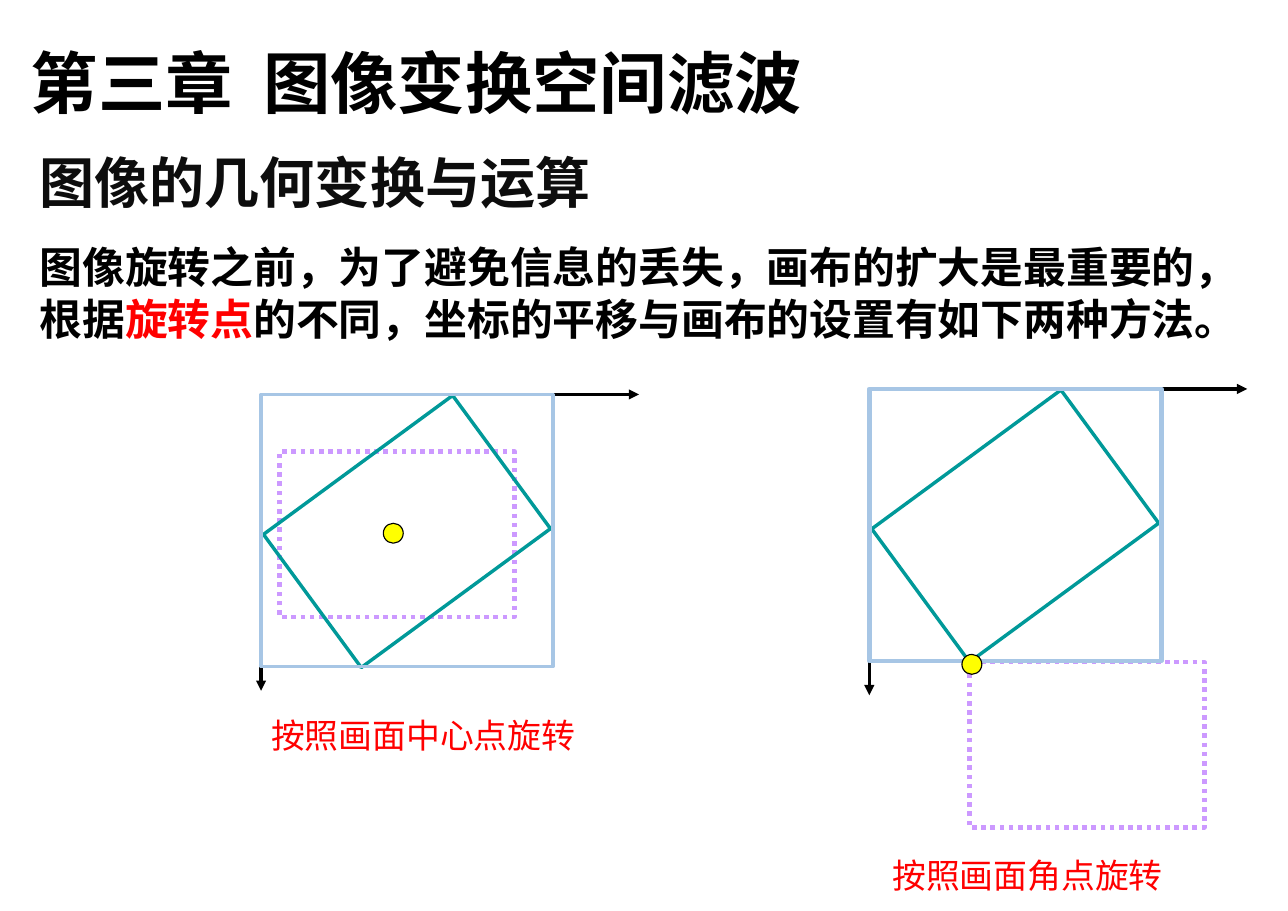
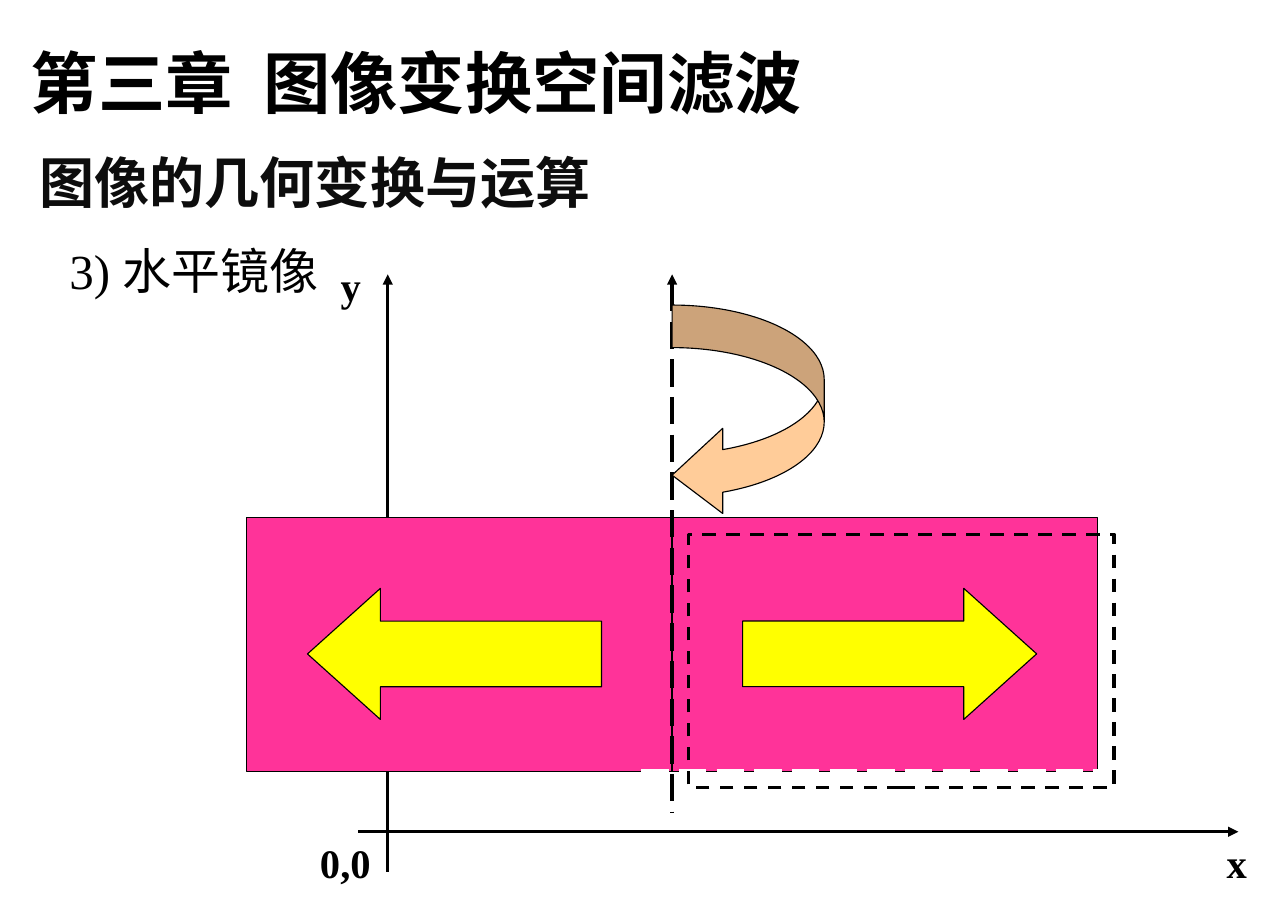
from lxml import etree
from pptx import Presentation
from pptx.dml.color import RGBColor
from pptx.enum.dml import MSO_LINE
from pptx.enum.shapes import MSO_CONNECTOR, MSO_SHAPE
from pptx.enum.text import MSO_ANCHOR, PP_ALIGN
from pptx.oxml.ns import qn
from pptx.util import Pt

RECT, OVAL = MSO_SHAPE.RECTANGLE, MSO_SHAPE.OVAL
ARROW, CURVE = MSO_SHAPE.RIGHT_ARROW, MSO_SHAPE.CURVED_LEFT_ARROW
STRAIGHT = MSO_CONNECTOR.STRAIGHT
DOT, DASH, LONG = MSO_LINE.ROUND_DOT, MSO_LINE.DASH, MSO_LINE.LONG_DASH
LEFT, CENTER = PP_ALIGN.LEFT, PP_ALIGN.CENTER
TOP, MIDDLE = MSO_ANCHOR.TOP, MSO_ANCHOR.MIDDLE

BLACK, WHITE, INK = "000000", "FFFFFF", "0D0D0D"
RED, YELLOW, PINK, PEACH = "FF0000", "FFFF00", "FF3399", "FFCC99"
TEAL, BLUE, LILAC = "009999", "A7C6E5", "CC99FF"
SERIF, SANS, THIN, HAN = "Times New Roman", "Arial", "Karla", "Noto Sans CJK SC"


def color(code):
    return RGBColor.from_string(code)


class Deck:
    def __init__(self, wide, high):
        self.prs = Presentation()
        self.prs.slide_width, self.prs.slide_height = Pt(wide), Pt(high)
        self.slide = None

    def page(self):
        """Start a slide with the shared chapter and section titles."""
        self.slide = self.prs.slides.add_slide(self.prs.slide_layouts[6])
        self.text((13, -2.9, 764, 86.4), "第三章  图像变换空间滤波", 44, SERIF,
                  bold=True, space=1.5)
        self.text((18.7, 93.6, 502, 51), "图像的几何变换与运算", 36, SANS,
                  INK, bold=True)

    def text(self, box, text, size, font, ink=BLACK, bold=False, align=LEFT,
             anchor=TOP, wrap=True, space=None, marks=None):
        """Add a text box; marks maps a phrase to its own colour."""
        frame = self.slide.shapes.add_textbox(*map(Pt, box)).text_frame
        frame.word_wrap, frame.vertical_anchor = wrap, anchor
        para = frame.paragraphs[0]
        para.alignment = align
        if space:
            para.line_spacing = space
        parts = [(text, ink)]
        for mark, tint in (marks or {}).items():
            head, tail = text.split(mark)
            parts = [(head, ink), (mark, tint), (tail, ink)]
        for part, tint in parts:
            run = para.add_run()
            run.text = part
            run.font.size, run.font.bold = Pt(size), bold
            run.font.color.rgb = color(tint)
            run.font.name = font
            east = etree.SubElement(run.font._element, qn("a:ea"))
            east.set("typeface", HAN)

    def stroke(self, line, ink, width, dash=None):
        line.color.rgb, line.width = color(ink), Pt(width)
        if dash:
            line.dash_style = dash

    def shape(self, kind, box, fill=None, ink=BLACK, width=0.75, dash=None,
              turn=0, adjust=()):
        item = self.slide.shapes.add_shape(kind, *map(Pt, box))
        item.shadow.inherit = False
        item.rotation = turn
        for i, value in enumerate(adjust):
            item.adjustments[i] = value
        if fill:
            item.fill.solid()
            item.fill.fore_color.rgb = color(fill)
        else:
            item.fill.background()
        self.stroke(item.line, ink, width, dash)

    def arrow(self, start, end, ink=BLACK, dash=None, tip="tailEnd"):
        """Add a line with an arrowhead at its end, or at its start (headEnd)."""
        item = self.slide.shapes.add_connector(
            STRAIGHT, *map(Pt, (*start, *end)))
        self.stroke(item.line, ink, 2.25, dash)
        props = item._element.spPr
        etree.SubElement(props.find(qn("a:ln")), qn("a:" + tip), type="triangle")
        etree.SubElement(props, qn("a:effectLst"))


def canvas(deck, left, top, drop, ghost, pivot, width):
    """Draw one rotation; ghost and pivot are offsets from the axis origin."""
    deck.arrow((left, top), (left + 247, top))
    deck.arrow((left, top), (left, top + drop))
    deck.shape(RECT, (left + ghost[0], top + ghost[1], 153.4, 108),
               ink=LILAC, width=3, dash=DOT)
    deck.shape(RECT, (left + 18.7, top + 35.6, 153.4, 108),
               ink=TEAL, width=2.25, turn=323.7)
    deck.shape(RECT, (left, top, 190.8, 177.8), ink=BLUE, width=width)
    deck.shape(OVAL, (left + pivot[0], top + pivot[1], 13, 13), YELLOW)


def rotate(deck):
    deck.page()
    deck.text((18.7, 154, 810, 112.3),
              "图像旋转之前，为了避免信息的丢失，画布的扩大是最重要的，"
              "根据旋转点的不同，坐标的平移与画布的设置有如下两种方法。",
              28, HAN, bold=True, marks={"旋转点": RED})
    # Rotation about the centre and about a corner
    canvas(deck, 170.6, 257.8, 193.7, (12.2, 37.4), (79.9, 84.2), 2.25)
    canvas(deck, 568.1, 254.2, 200.2, (65.5, 178.6), (60.5, 173.5), 3)
    deck.text((162, 463.7, 229, 33.8), "按照画面中心点旋转", 22.1, THIN, RED,
              align=CENTER)
    deck.text((576, 555.1, 205.2, 33.8), "按照画面角点旋转", 22.1, THIN, RED)


def mirror(deck):
    deck.page()
    axis, top, wide, high = 439.2, 338.4, 277.9, 165.6
    # Coordinate axes
    deck.arrow((253.4, 179.3), (253.4, 570.2), tip="headEnd")
    deck.arrow((234, 543.6), (809.3, 543.6))
    # Image halves and mirror line
    for left in (axis, axis - wide):
        deck.shape(RECT, (left, top, wide, high), PINK)
    deck.arrow((axis, 179.3), (axis, 530.6), dash=LONG, tip="headEnd")
    deck.arrow((419, top + high), (809.3, top + high), WHITE, LONG)
    deck.shape(RECT, (axis + 10.8, top + 10.8, wide, high),
               width=2.25, dash=DASH)
    # Direction arrows at equal distance from the mirror line
    gap, span = 46.1, 192.2
    for left, turn in ((axis + gap, 0), (axis - gap - span, 180)):
        deck.shape(ARROW, (left, 384.5, span, 85.7), YELLOW, turn=turn,
                   adjust=(0.5, 0.556))
    deck.shape(CURVE, (axis, 199.4, 99.4, 139), PEACH,
               adjust=(0.28, 0.56, 0.333))
    # Labels
    for label, left, high, wide in (("0,0", 201.6, 543.6, 48.2),
                                    ("x", 794.2, 543.6, 28),
                                    ("y", 215.3, 166.3, 28)):
        deck.text((left, high, wide, 39.6), label, 26.5, SERIF, bold=True,
                  align=CENTER, anchor=MIDDLE, wrap=False)
    deck.text((38.2, 154, 682.6, 53.3), "3) 水平镜像", 32, SERIF)


def main():
    deck = Deck(841.7, 595.4)
    rotate(deck)
    mirror(deck)
    deck.prs.save("out.pptx")


if __name__ == "__main__":
    main()
